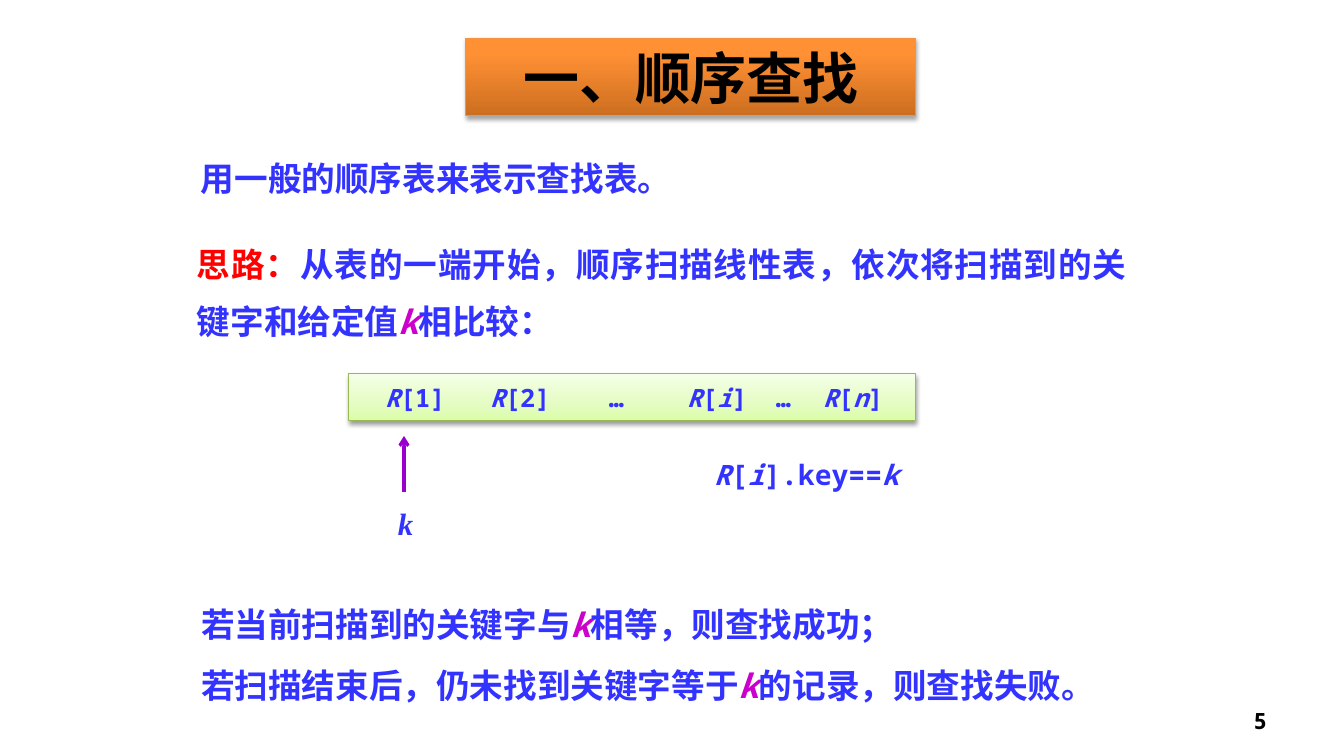
"""Build the slide on sequential search."""
import copy
import lxml.etree
import pptx
import pptx.dml.color
import pptx.enum.shapes
import pptx.enum.text
import pptx.oxml.ns
import pptx.util

PX = 914400 / 100.8
MONO, SERIF = "Noto Sans Mono", "Times New Roman"
HUES = {
    "blue": "3333FF", "red": "FF0000", "pink": "CC00CC",
    "purple": "9900CC", "black": "000000",
    "orange": "F69240", "green": "98B955",
}
ALIGN = pptx.enum.text.PP_ALIGN
ANCHOR = pptx.enum.text.MSO_ANCHOR
rgb = pptx.dml.color.RGBColor.from_string
qn = pptx.oxml.ns.qn


def box(*dims):
    return [round(d * PX) for d in dims]


def write(shape, *lines, size=24, font=MONO, hue="blue", accent="blue", lead="",
          align=ALIGN.LEFT, space=1, anchor=ANCHOR.TOP, wrap=True):
    """Write lines into a shape; *marked* words are italic in the accent hue."""
    frame = shape.text_frame
    frame.word_wrap = wrap
    frame.auto_size = pptx.enum.text.MSO_AUTO_SIZE.NONE
    frame.vertical_anchor = anchor
    for num, line in enumerate(lines):
        para = frame.add_paragraph() if num else frame.paragraphs[0]
        para.alignment, para.line_spacing = align, space
        para.space_before = pptx.util.Pt(0)
        parts = [(lead, "red", False)]
        for pos, text in enumerate(line.split("*")):
            parts.append((text, accent if pos % 2 else hue, pos % 2 == 1))
        for text, tint, slant in parts:
            if text:
                run = para.add_run()
                run.text = text
                run.font.name, run.font.size = font, pptx.util.Pt(size)
                run.font.bold, run.font.italic = True, slant
                run.font.color.rgb = rgb(HUES[tint])


deck = pptx.Presentation()
deck.slide_width, deck.slide_height = box(1344, 756)
slide = deck.slides.add_slide(deck.slide_layouts[1])
shapes = slide.shapes

title, body = shapes.title, slide.placeholders[1]
title.left, title.top, title.width, title.height = box(466, 38, 450, 78)
body.left, body.top, body.width, body.height = box(191, 579, 955, 125)
array = shapes.add_shape(pptx.enum.shapes.MSO_SHAPE.RECTANGLE, *box(349, 374, 567, 47))

panels = [
    (title, "orange", 35, [(0, "CC6E20"), (0.8, "FF9034"), (1, "FF9136")]),
    (array, "green", 38, [(0, "DAFDA7"), (0.35, "E4FCC2"), (1, "F5FFE7")]),
]
for panel, edge, alpha, stops in panels:
    panel.fill.gradient()
    panel.fill.gradient_angle = 90
    props = panel.element.spPr
    ramp = props.find(".//" + qn("a:gsLst"))
    ramp.append(copy.deepcopy(ramp[0]))
    for stop, (place, tint) in zip(panel.fill.gradient_stops, stops):
        stop.position, stop.color.rgb = place, rgb(tint)
    panel.line.color.rgb = rgb(HUES[edge])
    panel.line.width = pptx.util.Pt(0.75)
    glow = lxml.etree.SubElement(props, qn("a:effectLst"))
    shade = lxml.etree.SubElement(
        glow, qn("a:outerShdw"), blurRad="39370", dist="22860",
        dir="5400000", rotWithShape="0")
    tint = lxml.etree.SubElement(shade, qn("a:srgbClr"), val=HUES["black"])
    lxml.etree.SubElement(tint, qn("a:alpha"), val=str(alpha * 1000))

write(title, "一、顺序查找", size=40, font=SERIF, hue="black", align=ALIGN.CENTER)
write(array, "*R*[1]\t*R*[2]\t…\t*R*[*i*]\t…\t*R*[*n*]", size=18, anchor=ANCHOR.MIDDLE)
array.text_frame.margin_left = round(36 * PX)
tabs = lxml.etree.SubElement(
    array.text_frame.paragraphs[0]._p.get_or_add_pPr(), qn("a:tabLst"))
for stop in (105, 224, 302, 391, 438):
    lxml.etree.SubElement(tabs, qn("a:tab"), pos=str(round(stop * PX)), algn="l")

write(body, "若当前扫描到的关键字与*k*相等，则查找成功；",
      "若扫描结束后，仍未找到关键字等于*k*的记录，则查找失败。",
      accent="pink", space=1.5)
for para in body.text_frame.paragraphs:
    props = para._p.get_or_add_pPr()
    props.set("marL", "0")
    props.set("indent", "0")
    lxml.etree.SubElement(props, qn("a:buNone"))

notes = [
    ((191, 137, 535, 61), "用一般的顺序表来表示查找表。",
     dict(align=ALIGN.JUSTIFY, space=1.4)),
    ((187, 223, 950, 118),
     "从表的一端开始，顺序扫描线性表，依次将扫描到的关键字和给定值*k*相比较：",
     dict(lead="思路：", accent="pink", align=ALIGN.JUSTIFY, space=1.4)),
    ((388, 500, 47, 47), "*k*", dict(size=22, font=SERIF)),
    ((704, 453, 213, 44), "*R*[*i*].key==*k*", dict(size=20, wrap=False)),
    ((964, 701, 313, 40), "5",
     dict(size=16, hue="black", align=ALIGN.RIGHT, anchor=ANCHOR.MIDDLE)),
]
for dims, text, style in notes:
    write(shapes.add_textbox(*box(*dims)), text, **style)

arrow = shapes.add_connector(
    pptx.enum.shapes.MSO_CONNECTOR.STRAIGHT, *box(404, 492, 404, 436))
arrow.line.color.rgb = rgb(HUES["purple"])
arrow.line.width = pptx.util.Pt(2.25)
lxml.etree.SubElement(arrow.line._get_or_add_ln(), qn("a:tailEnd"), type="arrow")
lxml.etree.SubElement(arrow.element.spPr, qn("a:effectLst"))

deck.save("out.pptx")
